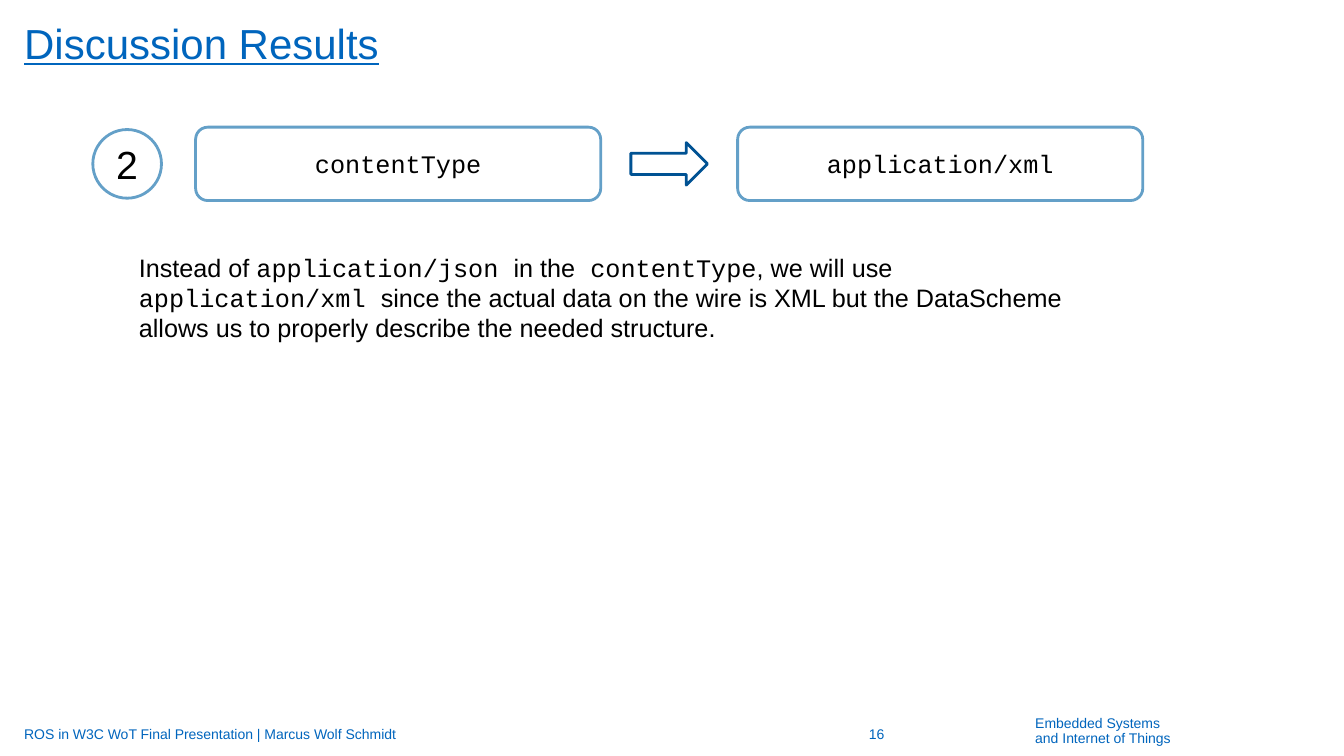
from typing import NamedTuple

from pptx import Presentation
from pptx import util as u
from pptx.dml.color import RGBColor
from pptx.enum import shapes, text

BLUE = RGBColor(0x00, 0x65, 0xBD)
DARK_BLUE = RGBColor(0x00, 0x52, 0x93)
LIGHT_BLUE = RGBColor(0x64, 0xA0, 0xC8)
WHITE = RGBColor(0xFF, 0xFF, 0xFF)
BLACK = RGBColor(0x00, 0x00, 0x00)
SANS, MONO = "Arial", "Courier New"

# Lengths are in centimetres
ROW_CENTER = 4.13
BOX_WIDTH, BOX_HEIGHT = 10.21, 1.85
ARROW_WIDTH, ARROW_HEIGHT = 1.93, 1.07
CIRCLE_SIZE = 1.73
GAP = 0.76
KEY_LEFT = 4.93
ARROW_LEFT = KEY_LEFT + BOX_WIDTH + GAP
VALUE_LEFT = ARROW_LEFT + ARROW_WIDTH + GAP
MARGIN = 0.61
FOOTER_TOP, FOOTER_HEIGHT = 17.98, 1.02


class Node(NamedTuple):
    """An outlined shape of the mapping row, centred on the row."""
    kind: shapes.MSO_SHAPE
    left: float
    width: float
    height: float
    line: RGBColor = LIGHT_BLUE
    label: str = ""
    font: str = MONO
    size: int = 18


class Label(NamedTuple):
    """A text box in one style; each line is a list of (text, font) pieces."""
    left: float
    top: float
    width: float
    height: float
    lines: list[list[tuple[str, str]]]
    size: int = 10
    color: RGBColor = BLUE
    inset_x: float = 0
    inset_y: float = 0
    anchor: text.MSO_ANCHOR = text.MSO_ANCHOR.TOP
    align: text.PP_ALIGN = text.PP_ALIGN.LEFT
    line_spacing: float | u.Length | None = None
    space_after: int = 0
    underline: bool = False


NODES = [
    Node(shapes.MSO_SHAPE.ROUNDED_RECTANGLE, KEY_LEFT, BOX_WIDTH, BOX_HEIGHT,
         label="contentType"),
    Node(shapes.MSO_SHAPE.ROUNDED_RECTANGLE, VALUE_LEFT, BOX_WIDTH, BOX_HEIGHT,
         label="application/xml"),
    Node(shapes.MSO_SHAPE.RIGHT_ARROW, ARROW_LEFT, ARROW_WIDTH, ARROW_HEIGHT,
         line=DARK_BLUE),
    Node(shapes.MSO_SHAPE.OVAL, 2.34, CIRCLE_SIZE, CIRCLE_SIZE,
         label="2", font=SANS, size=28),
]

EXPLANATION = [
    ("Instead of ", SANS),
    ("application/json ", MONO),
    ("in the", SANS),
    (" contentType", MONO),
    (", we will use", SANS),
    (" application/xml ", MONO),
    ("since the actual data on the wire is XML but the DataScheme "
     "allows us to properly describe the needed structure.", SANS),
]

LABELS = [
    Label(26.09, 18.03, 5.49, 0.81,
          [[("Embedded Systems ", SANS)], [("and Internet of Things", SANS)]],
          line_spacing=0.94),
    Label(20.52, FOOTER_TOP, 3.15, FOOTER_HEIGHT, [[("16", SANS)]],
          inset_y=0.13, anchor=text.MSO_ANCHOR.MIDDLE,
          align=text.PP_ALIGN.CENTER, space_after=6),
    Label(MARGIN, FOOTER_TOP, 19.35, FOOTER_HEIGHT,
          [[("ROS in W3C WoT Final Presentation | Marcus Wolf Schmidt", SANS)]],
          inset_y=0.13, anchor=text.MSO_ANCHOR.MIDDLE, space_after=6),
    Label(MARGIN, 0.58, 31.52, 1.14, [[("Discussion Results", SANS)]],
          size=30, line_spacing=u.Pt(32), underline=True),
    Label(3.25, 6.22, 24.89, 2.57, [EXPLANATION],
          size=18, color=BLACK, inset_x=0.25, inset_y=0.13),
]


def style_run(run, font: str, size: int, color: RGBColor) -> None:
    """Set the font, size and colour of a run."""
    run.font.name = font
    run.font.size = u.Pt(size)
    run.font.color.rgb = color


def add_node(slide, node: Node) -> None:
    """Draw an outlined shape with its centred label."""
    shape = slide.shapes.add_shape(
        node.kind, u.Cm(node.left), u.Cm(ROW_CENTER - node.height / 2),
        u.Cm(node.width), u.Cm(node.height))
    shape.shadow.inherit = False
    shape.fill.solid()
    shape.fill.fore_color.rgb = WHITE
    shape.line.color.rgb = node.line
    shape.line.width = u.Pt(2)
    if node.label:
        frame = shape.text_frame
        frame.text = node.label
        frame.vertical_anchor = text.MSO_ANCHOR.MIDDLE
        paragraph = frame.paragraphs[0]
        paragraph.alignment = text.PP_ALIGN.CENTER
        style_run(paragraph.runs[0], node.font, node.size, BLACK)


def add_label(slide, label: Label) -> None:
    """Draw a text box with one paragraph per line."""
    box = slide.shapes.add_textbox(u.Cm(label.left), u.Cm(label.top),
                                   u.Cm(label.width), u.Cm(label.height))
    frame = box.text_frame
    frame.word_wrap = True
    frame.vertical_anchor = label.anchor
    frame.margin_left = frame.margin_right = u.Cm(label.inset_x)
    frame.margin_top = frame.margin_bottom = u.Cm(label.inset_y)
    for index, pieces in enumerate(label.lines):
        paragraph = frame.add_paragraph() if index else frame.paragraphs[0]
        paragraph.alignment = label.align
        paragraph.line_spacing = label.line_spacing
        paragraph.space_after = u.Pt(label.space_after)
        for words, font in pieces:
            run = paragraph.add_run()
            run.text = words
            style_run(run, font, label.size, label.color)
            if label.underline:
                run.font.underline = True


def main() -> None:
    """Build the slide and save it."""
    presentation = Presentation()
    presentation.slide_width = u.Cm(33.87)
    presentation.slide_height = u.Cm(19.05)
    slide = presentation.slides.add_slide(presentation.slide_layouts[6])
    for label in LABELS:
        add_label(slide, label)
    for node in NODES:
        add_node(slide, node)
    presentation.save("out.pptx")


main()
